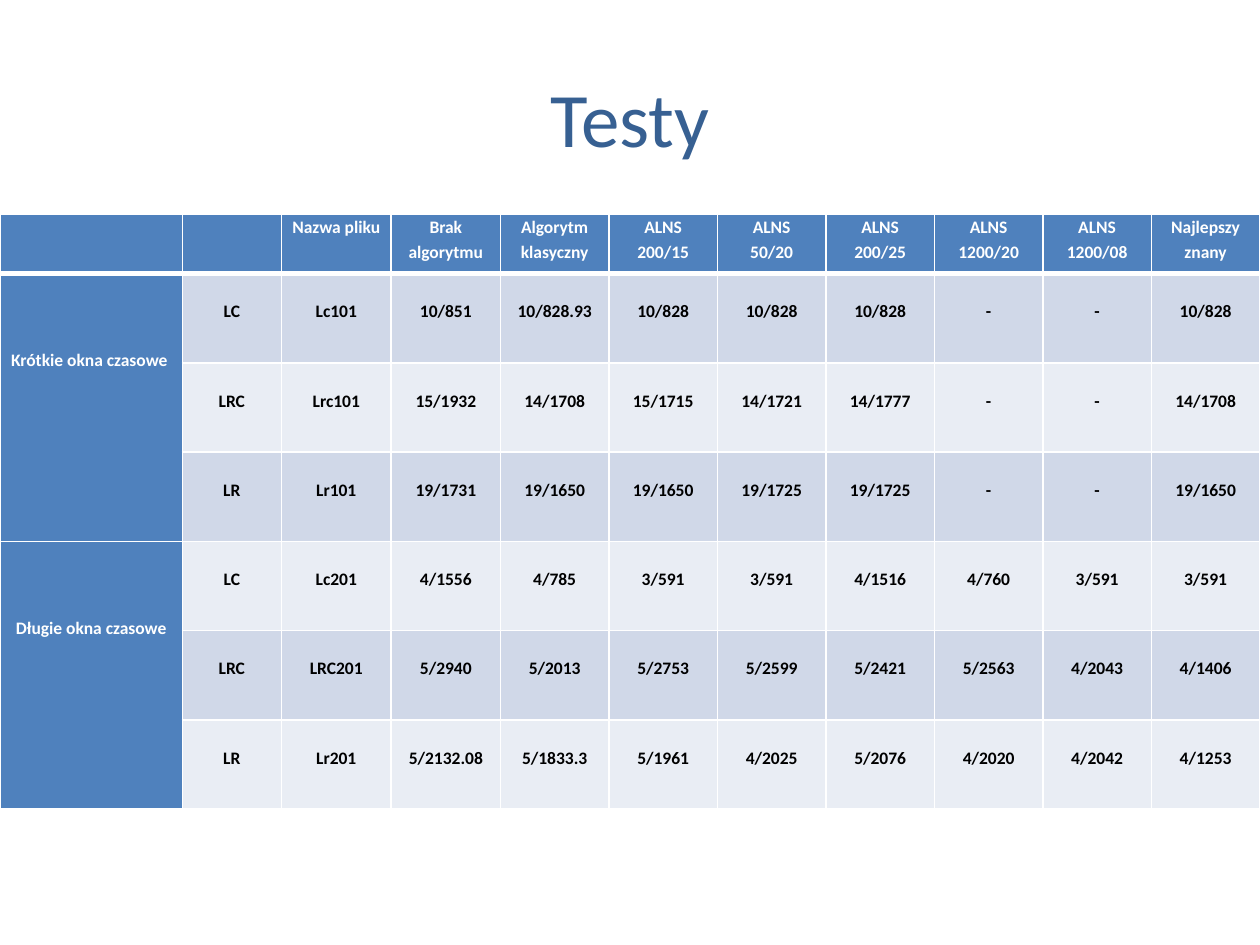
from lxml.etree import SubElement
from pptx import Presentation
from pptx.dml.color import RGBColor
from pptx.enum.text import MSO_ANCHOR, PP_ALIGN
from pptx.oxml.ns import qn
from pptx.util import Pt

FONT = "Calibri"
WHITE, BLACK, BLUE, TITLE_BLUE = "FFFFFF", "000000", "4F81BD", "376092"
BANDS = ("D0D8E8", "E9EDF4")
LINE = 14  # height of one 10 pt table line
COLUMNS = [104.2, 56.6, 62.8, 62.4] + [62] * 7
HEADER_HEIGHT, ROW_HEIGHT = 34, 51
HEADER = ["", "", "Nazwa pliku", "Brak algorytmu", "Algorytm klasyczny",
          "ALNS\n200/15", "ALNS\n50/20", "ALNS\n200/25", "ALNS\n1200/20",
          "ALNS\n1200/08", "Najlepszy znany"]
GROUPS = {
    "Krótkie okna czasowe ": [
        ["LC", "Lc101", "10/851", "10/828.93", "10/828", "10/828", "10/828",
         "-", "-", "10/828"],
        ["LRC", "Lrc101", "15/1932", "14/1708", "15/1715", "14/1721", "14/1777",
         "-", "-", "14/1708"],
        ["LR", "Lr101", "19/1731", "19/1650", "19/1650", "19/1725", "19/1725",
         "-", "-", "19/1650"],
    ],
    "Długie okna czasowe": [
        ["LC", "Lc201", "4/1556", "4/785", "3/591", "3/591", "4/1516",
         "4/760", "3/591", "3/591"],
        ["LRC", "LRC201", "5/2940", "5/2013", "5/2753", "5/2599", "5/2421",
         "5/2563", "4/2043", "4/1406"],
        ["LR", "Lr201", "5/2132.08", "5/1833.3", "5/1961", "4/2025", "5/2076",
         "4/2020", "4/2042", "4/1253"],
    ],
}


def rgb(value):
    """Turn a hex string into a colour."""
    return RGBColor.from_string(value)


def add_run(p, text, size, color, bold=False):
    """Add one centred run to a paragraph."""
    p.alignment = PP_ALIGN.CENTER
    r = p.add_run()
    r.text = text
    r.font.name, r.font.size, r.font.bold = FONT, Pt(size), bold
    r.font.color.rgb = rgb(color)


def set_borders(cell, top=1, bottom=1):
    """Draw white lines on the four sides of a cell."""
    tcPr = cell._tc.get_or_add_tcPr()
    for side, width in (("L", 1), ("R", 1), ("T", top), ("B", bottom)):
        ln = SubElement(tcPr, qn(f"a:ln{side}"), w=str(Pt(width)))
        SubElement(SubElement(ln, qn("a:solidFill")), qn("a:srgbClr"), val=WHITE)


def fill_cell(cell, text, fill, color, top_lines=0):
    """Colour a cell and write its text a number of lines below the top."""
    cell.fill.solid()
    cell.fill.fore_color.rgb = rgb(fill)
    cell.margin_left = cell.margin_right = Pt(5)
    cell.margin_top, cell.margin_bottom = Pt(top_lines * LINE), Pt(0)
    if not text:
        return
    tf = cell.text_frame
    for i, line in enumerate(text.split("\n")):
        p = tf.add_paragraph() if i else tf.paragraphs[0]
        p.line_spacing = 1.15
        add_run(p, line, 10, color, bold=True)


def add_title(s, left, top, width, height):
    """Place the slide title in its box."""
    tf = s.shapes.add_textbox(Pt(left), Pt(top), Pt(width), Pt(height)).text_frame
    tf.word_wrap = True
    tf.vertical_anchor = MSO_ANCHOR.MIDDLE
    add_run(tf.paragraphs[0], "Testy", 44, TITLE_BLUE)


def add_results(s, left, top):
    """Place the results table with its merged group cells."""
    rows = [row for group in GROUPS.values() for row in group]
    height = HEADER_HEIGHT + ROW_HEIGHT * len(rows)
    table = s.shapes.add_table(len(rows) + 1, len(COLUMNS), Pt(left), Pt(top),
                               Pt(sum(COLUMNS)), Pt(height)).table
    for column, width in zip(table.columns, COLUMNS):
        column.width = Pt(width)
    for i, row in enumerate(table.rows):
        row.height = Pt(ROW_HEIGHT if i else HEADER_HEIGHT)
        for cell in row.cells:
            set_borders(cell, top=3 if i == 1 else 1, bottom=1 if i else 3)
    for j, text in enumerate(HEADER):
        fill_cell(table.cell(0, j), text, BLUE, WHITE)
    for i, row in enumerate(rows, 1):
        for j, text in enumerate(row, 1):
            fill_cell(table.cell(i, j), text, BANDS[(i - 1) % 2], BLACK, 1)
    first = 1
    for name, group in GROUPS.items():
        last = first + len(group) - 1
        table.cell(first, 0).merge(table.cell(last, 0))
        fill_cell(table.cell(first, 0), name, BLUE, WHITE, 3)
        first = last + 1


prs = Presentation()
prs.slide_width, prs.slide_height = Pt(720), Pt(540)
s = prs.slides.add_slide(prs.slide_layouts[6])
add_title(s, 36, 21.6, 648, 90)
add_results(s, 0, 122.4)
prs.save("out.pptx")
